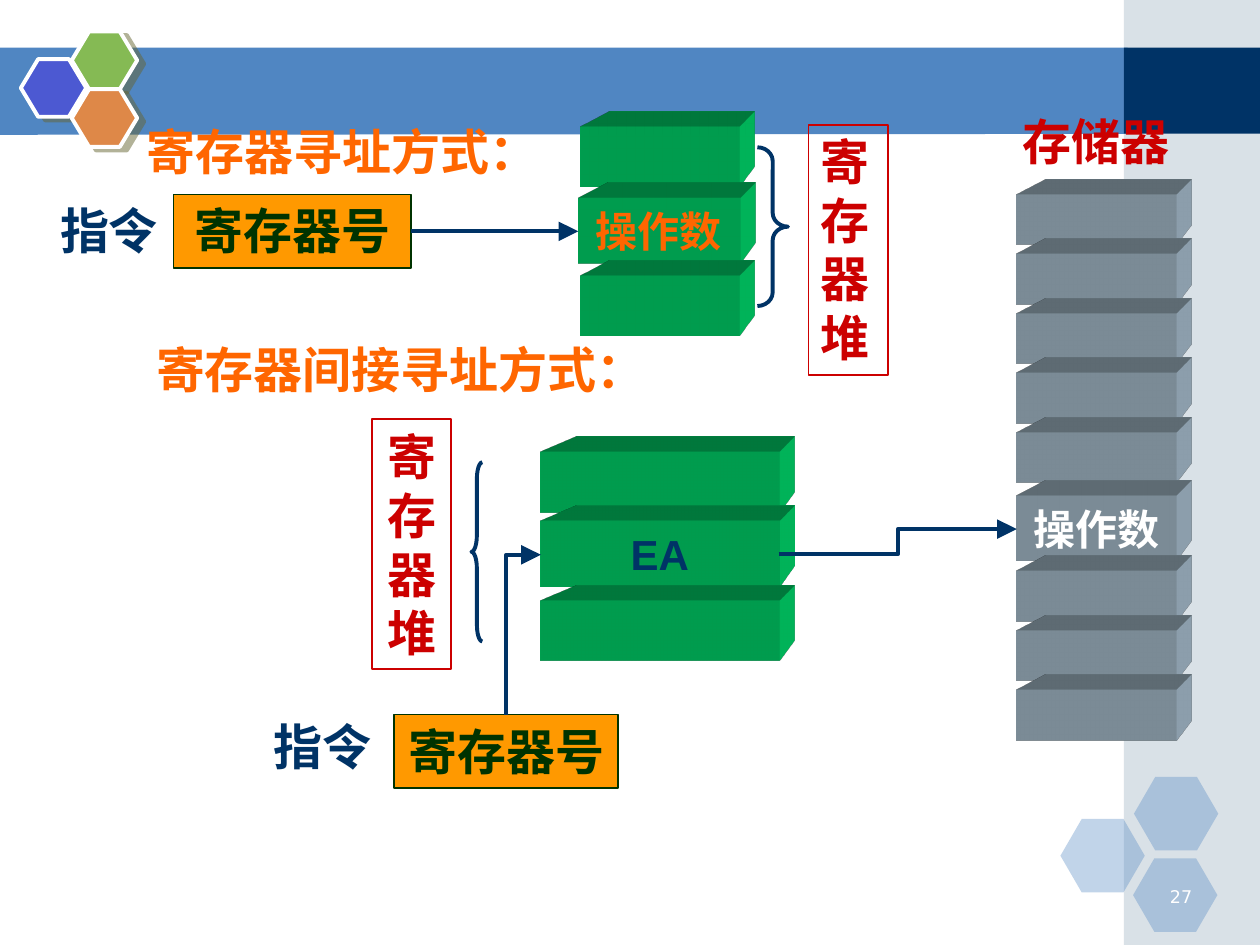
from lxml import etree
from pptx import Presentation
from pptx.dml.color import RGBColor
from pptx.enum.shapes import MSO_CONNECTOR, MSO_SHAPE
from pptx.enum.text import MSO_ANCHOR, PP_ALIGN
from pptx.oxml.ns import qn
from pptx.util import Pt

RECT, HEXAGON = MSO_SHAPE.RECTANGLE, MSO_SHAPE.HEXAGON
LEFT_BRACE, RIGHT_BRACE = MSO_SHAPE.LEFT_BRACE, MSO_SHAPE.RIGHT_BRACE
ELBOW = MSO_CONNECTOR.ELBOW
TOP, MIDDLE = MSO_ANCHOR.TOP, MSO_ANCHOR.MIDDLE
LEFT, CENTER, RIGHT = PP_ALIGN.LEFT, PP_ALIGN.CENTER, PP_ALIGN.RIGHT

WHITE = RGBColor(0xFF, 0xFF, 0xFF)
BLUE = RGBColor(0x50, 0x86, 0xC2)
NAVY = RGBColor(0x00, 0x33, 0x66)
PALE = RGBColor(0xA0, 0xB5, 0xC4)
INDIGO = RGBColor(0x4C, 0x59, 0xD2)
LEAF = RGBColor(0x85, 0xBA, 0x54)
CLAY = RGBColor(0xDE, 0x88, 0x48)
ORANGE = RGBColor(0xFF, 0x66, 0x00)
AMBER = RGBColor(0xFF, 0x99, 0x00)
RED = RGBColor(0xCC, 0x00, 0x00)
GREEN = RGBColor(0x00, 0xCC, 0x66)
DARK_GREEN = RGBColor(0x00, 0x33, 0x00)
OLIVE = RGBColor(0x66, 0x66, 0x33)


def paint(sp, fill=None, line=None, width=1):
    sp.shadow.inherit = False
    if fill is None:
        sp.fill.background()
    else:
        sp.fill.solid()
        sp.fill.fore_color.rgb = fill
    if line is None:
        sp.line.fill.background()
    else:
        sp.line.color.rgb = line
        sp.line.width = Pt(width)


def add_shape(s, kind, box, adj=None, **look):
    sp = s.shapes.add_shape(kind, *map(Pt, box))
    if adj is not None:
        sp.adjustments[0] = adj
    paint(sp, **look)
    return sp


def set_text(sp, text, color, size=28, name="Arial", align=CENTER, anchor=TOP,
             bold=True, wrap=True, side=7.2):
    tf = sp.text_frame
    frame = dict(word_wrap=wrap, vertical_anchor=anchor, margin_left=Pt(side),
                 margin_right=Pt(side), margin_top=Pt(3.6), margin_bottom=Pt(3.6))
    for key, value in frame.items():
        setattr(tf, key, value)
    p = tf.paragraphs[0]
    p.alignment = align
    r = p.add_run()
    r.text = text
    for key, value in dict(size=Pt(size), name=name, bold=bold).items():
        setattr(r.font, key, value)
    r.font.color.rgb = color


def add_label(s, box, text, color, **style):
    set_text(s.shapes.add_textbox(*map(Pt, box)), text, color, **style)


def add_node(parent, tag, **attributes):
    return etree.SubElement(parent, qn(tag), **attributes)


def set_alpha(parent, percent):
    color = next(parent.iter(qn("a:srgbClr")))
    add_node(color, "a:alpha", val=str(percent * 1000))


def add_hexagon_shadow(sp):
    effects = sp._element.spPr.find(qn("a:effectLst"))
    shadow = add_node(effects, "a:outerShdw", dist=str(Pt(4.5)), dir=str(27 * 60000),
                      algn="ctr", rotWithShape="0")
    add_node(shadow, "a:srgbClr", val=str(OLIVE))
    set_alpha(shadow, 50)


def add_block(s, box, color):
    sp = add_shape(s, RECT, box, fill=color)
    props = sp._element.spPr
    scene = add_node(props, "a:scene3d")
    add_node(scene, "a:camera", prst="legacyPerspectiveTopRight")
    add_node(scene, "a:lightRig", rig="legacyFlat3", dir="b")
    solid = add_node(props, "a:sp3d", extrusionH=str(Pt(70)), prstMaterial="legacyMatte")
    for tag in ("a:bevelT", "a:bevelB"):
        add_node(solid, tag, w="13500", h="13500", prst="angle")
    add_node(add_node(solid, "a:extrusionClr"), "a:srgbClr", val=str(color))
    return sp


def add_arrow(s, start, end, turn=False):
    cn = s.shapes.add_connector(ELBOW, *map(Pt, (*start, *end)))
    cn.line.color.rgb = NAVY
    cn.line.width = Pt(2.25)
    add_node(cn.line._get_or_add_ln(), "a:tailEnd", type="triangle", w="lg", len="lg")
    props = cn._element.spPr
    add_node(props, "a:effectLst")
    if turn:
        props.find(qn("a:xfrm")).set("rot", str(270 * 60000))
        props.find(qn("a:prstGeom")).set("prst", "bentConnector2")


def add_background(s):
    builder = s.shapes.build_freeform(Pt(0), Pt(27.2))
    corners = ((644.4, 27.2), (644.4, 76.5), (0, 77))
    builder.add_line_segments([(Pt(x), Pt(y)) for x, y in corners], close=True)
    paint(builder.convert_to_shape(), BLUE)
    panel = add_shape(s, RECT, (642.2, 0, 77.8, 540), fill=PALE)
    set_alpha(panel._element.spPr, 40)
    add_shape(s, RECT, (642.2, 27.2, 77.8, 49.2), fill=NAVY)
    for x, y in ((606, 468), (648, 444), (647.5, 490.5)):
        sp = add_shape(s, HEXAGON, (x, y, 48.2, 42), 0.29, fill=BLUE)
        set_alpha(sp._element.spPr, 35)
    for x, y, color in ((11.9, 33.8, INDIGO), (41, 18, LEAF), (41, 51, CLAY)):
        sp = add_shape(s, HEXAGON, (x, y, 37.4, 33), 0.3, fill=color, line=WHITE, width=2.25)
        add_hexagon_shadow(sp)
    add_label(s, (652.3, 502.6, 36, 18), "27", WHITE, size=10, name="DejaVu Sans",
              align=RIGHT, bold=False)


def add_memory(s):
    tops = [111.2 + 34 * i for i in range(5)] + [283.5] + [326.5 + 34 * i for i in range(3)]
    for i, y in enumerate(tops):
        sp = add_block(s, (580.7, y, 91.5, 37 if i == 5 else 28.6), PALE)
        if i == 5:
            set_text(sp, "操作数", WHITE, size=24, name="Times New Roman", anchor=MIDDLE)
    add_label(s, (569.7, 60, 113, 41), "存储器", RED)


def add_registers(s, lefts, right, tops, text, color, name):
    for i, (x, y) in enumerate(zip(lefts, tops)):
        sp = add_block(s, (x, y, right - x, 37 if i == 1 else 34.2), GREEN)
        if i == 1:
            set_text(sp, text, color, size=24, name=name, anchor=MIDDLE)


def add_instruction(s, label_box, box, **style):
    add_label(s, label_box, "指令", NAVY)
    sp = add_shape(s, RECT, box, fill=AMBER, line=DARK_GREEN)
    set_text(sp, "寄存器号", DARK_GREEN, **style)


def add_register_file(s, x, y, **style):
    sp = add_shape(s, RECT, (x, y, 45.4, 142.8), line=RED)
    set_text(sp, "寄存器堆", RED, **style)


def add_direct_mode(s):
    add_instruction(s, (25.6, 111.3, 73.4, 41), (99.1, 111.2, 136, 41.8))
    add_registers(s, (331.6, 330.4, 331.6), 422.6, (72.3, 113.4, 157.5),
                  "操作数", ORANGE, "Times New Roman")
    add_register_file(s, 462, 71.5, align=LEFT)
    add_shape(s, RIGHT_BRACE, (432.8, 84.2, 17.5, 90.7), 0.45, line=NAVY, width=2.25)
    add_label(s, (76.7, 65.9, 239, 41), "寄存器寻址方式：", ORANGE, align=LEFT)
    add_arrow(s, (235.1, 132.2), (330.4, 132.2))


def add_indirect_mode(s):
    add_shape(s, LEFT_BRACE, (269.4, 264.2, 6.2, 102.4), 1.51, line=NAVY, width=2.25)
    add_instruction(s, (144.7, 406, 79.2, 41), (225.1, 408.3, 128.2, 41.8),
                    anchor=MIDDLE, wrap=False)
    add_registers(s, (308.7,) * 3, 445.4, (258.5, 298, 343.2), "EA", NAVY, "Arial")
    add_register_file(s, 212.5, 239.5, anchor=MIDDLE, side=1.44)
    add_label(s, (82.1, 190.5, 289.4, 41), "寄存器间接寻址方式：", ORANGE, align=LEFT)
    add_arrow(s, (253.4, 352.8), (344.8, 372.6), turn=True)
    add_arrow(s, (445, 316.8), (581, 302.4))


def main():
    prs = Presentation()
    prs.slide_width, prs.slide_height = Pt(720), Pt(540)
    s = prs.slides.add_slide(prs.slide_layouts[6])
    add_background(s)
    add_memory(s)
    add_direct_mode(s)
    add_indirect_mode(s)
    prs.save("out.pptx")


if __name__ == "__main__":
    main()
